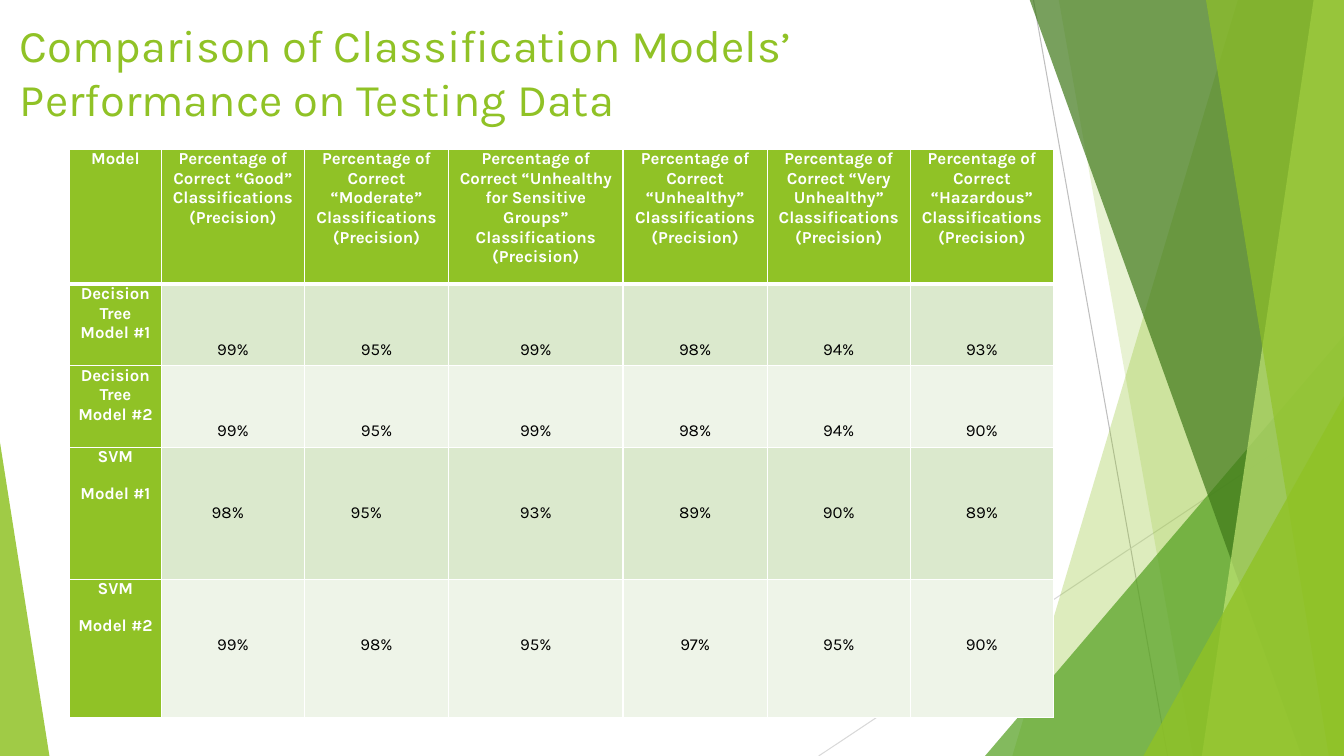
from lxml.etree import SubElement
from pptx import Presentation
from pptx.dml.color import RGBColor
from pptx.enum.shapes import MSO_CONNECTOR as Connector, MSO_SHAPE as Shape
from pptx.enum.text import MSO_ANCHOR as Anchor, PP_ALIGN as Align
from pptx.oxml.ns import qn
from pptx.util import Inches, Pt

WHITE = RGBColor(0xFF, 0xFF, 0xFF)
BLACK = RGBColor(0, 0, 0)
LIME = RGBColor(0x90, 0xC2, 0x26)
PALE_LIME = RGBColor(0xC0, 0xE4, 0x74)
GREEN = RGBColor(0x54, 0xA0, 0x21)
DARK_GREEN = RGBColor(0x3F, 0x78, 0x19)
BAND_DARK = RGBColor(0xDB, 0xE9, 0xCD)
BAND_LIGHT = RGBColor(0xEE, 0xF4, 0xE8)
GREY = RGBColor(0xBF, 0xBF, 0xBF)
LIGHT_GREY = RGBColor(0xD9, 0xD9, 0xD9)

FONT = "Karla"
WIDTH, HEIGHT, BLEED = 13.33, 7.5, -0.01
TITLE = "Comparison of Classification Models’ Performance on Testing Data"
CLASSES = ["Good", "Moderate", "Unhealthy for Sensitive Groups",
           "Unhealthy", "Very Unhealthy", "Hazardous"]
MODELS = [
    (["Decision Tree Model #1"], [99, 95, 99, 98, 94, 93]),
    (["Decision Tree Model #2"], [99, 95, 99, 98, 94, 90]),
    (["SVM", "Model #1"], [98, 95, 93, 89, 90, 89]),
    (["SVM", "Model #2"], [99, 98, 95, 97, 95, 90]),
]
COLUMN_WIDTHS = [0.91, 1.42, 1.43, 1.73, 1.43, 1.42, 1.42]
ROW_HEIGHTS = [1.34, 0.81, 0.81, 1.31, 1.37]
VALUE_TOP = 0.55
RIGHT_INSETS = {(3, 1): 0.14, (3, 2): 0.24}


def apply_format(target, values):
    for name, value in values.items():
        setattr(target, name, value)


def paint(shape, color, opacity):
    shape.shadow.inherit = False
    shape.line.fill.background()
    shape.fill.solid()
    shape.fill.fore_color.rgb = color
    tone = shape.fill._xPr.find(qn("a:solidFill"))[0]
    SubElement(tone, qn("a:alpha"), val=str(opacity * 1000))


def add_line(page, start, end, color):
    line = page.shapes.add_connector(
        Connector.STRAIGHT, *[Inches(value) for value in (*start, *end)])
    line.line.color.rgb = color
    line.line.width = Pt(0.75)
    SubElement(line._element.spPr, qn("a:effectLst"))


def add_facet(page, top_x, bottom_x, color, opacity):
    corners = [(WIDTH, BLEED), (WIDTH, HEIGHT), (bottom_x, HEIGHT)]
    builder = page.shapes.build_freeform(Inches(top_x), Inches(BLEED))
    builder.add_line_segments([(Inches(x), Inches(y)) for x, y in corners])
    paint(builder.convert_to_shape(), color, opacity)


def add_triangle(page, left, top, width, apex, color, opacity):
    triangle = page.shapes.add_shape(
        Shape.ISOSCELES_TRIANGLE, Inches(left), Inches(top),
        Inches(width), Inches(HEIGHT - top))
    triangle.adjustments[0] = apex
    paint(triangle, color, opacity)


def write(frame, lines, size, color, bold=False, align=Align.LEFT, gap=0):
    frame.word_wrap = True
    for index, text in enumerate(lines):
        para = frame.add_paragraph() if index else frame.paragraphs[0]
        apply_format(para, {"alignment": align, "space_before": Pt(gap)})
        span = para.add_run()
        span.text = text
        apply_format(span.font, {"name": FONT, "size": Pt(size), "bold": bold})
        span.font.color.rgb = color


def add_title(page):
    box = page.shapes.add_textbox(
        Inches(0.1), Inches(0.12), Inches(10.54), Inches(1.2))
    write(box.text_frame, [TITLE], 32.4, LIME)


def add_borders(cell, bottom):
    properties = cell._tc.get_or_add_tcPr()
    widths = {"a:lnL": 1, "a:lnR": 1, "a:lnT": 1, "a:lnB": bottom}
    for index, (tag, width) in enumerate(widths.items()):
        edge = SubElement(properties, qn(tag), w=str(Pt(width)))
        fill = SubElement(edge, qn("a:solidFill"))
        SubElement(fill, qn("a:srgbClr"), val=str(WHITE))
        properties.insert(index, edge)


def fill_cell(cell, lines, fill, color, bold, top=0, right=0.04, gap=0, bottom=1):
    apply_format(cell, {
        "margin_left": Inches(0.04), "margin_right": Inches(right),
        "margin_top": Inches(top), "margin_bottom": 0,
        "vertical_anchor": Anchor.TOP,
    })
    cell.fill.solid()
    cell.fill.fore_color.rgb = fill
    write(cell.text_frame, lines, 12, color, bold, Align.CENTER, gap)
    add_borders(cell, bottom)


def add_precision_table(page):
    table = page.shapes.add_table(
        len(ROW_HEIGHTS), len(COLUMN_WIDTHS), Inches(0.69), Inches(1.48),
        Inches(sum(COLUMN_WIDTHS)), Inches(sum(ROW_HEIGHTS))).table
    for column, width in zip(table.columns, COLUMN_WIDTHS):
        column.width = Inches(width)
    for row, height in zip(table.rows, ROW_HEIGHTS):
        row.height = Inches(height)

    headers = [["Model"]] + [
        [f"Percentage of Correct “{name}” Classifications", "(Precision)"]
        for name in CLASSES]
    for column, lines in enumerate(headers):
        fill_cell(table.cell(0, column), lines, LIME, WHITE, True, bottom=3)

    for row, (label, values) in enumerate(MODELS, 1):
        fill_cell(table.cell(row, 0), label, LIME, WHITE, True, gap=12)
        band = BAND_DARK if row % 2 else BAND_LIGHT
        for column, value in enumerate(values, 1):
            fill_cell(table.cell(row, column), [f"{value}%"], band, BLACK, False,
                      top=VALUE_TOP, right=RIGHT_INSETS.get((row, column), 0.04))


def add_backdrop(page):
    add_line(page, (10.25, 0), (11.58, HEIGHT), GREY)
    add_line(page, (WIDTH, 4.03), (8.12, HEIGHT), LIGHT_GREY)
    add_facet(page, 12.28, 10.04, LIME, 30)
    add_facet(page, 10.5, 11.83, LIME, 20)
    add_triangle(page, 9.77, 3.33, 3.56, 1, GREEN, 72)
    add_facet(page, 10.21, 12.91, DARK_GREEN, 70)
    add_facet(page, 13.03, 11.92, PALE_LIME, 70)
    add_facet(page, 11.96, 13.18, LIME, 65)
    add_triangle(page, 11.34, 3.93, 1.99, 1, LIME, 80)
    add_triangle(page, 0, 4.39, 0.49, 0, LIME, 85)


def main():
    deck = Presentation()
    apply_format(deck, {"slide_width": Inches(WIDTH), "slide_height": Inches(HEIGHT)})
    page = deck.slides.add_slide(deck.slide_layouts[6])
    add_backdrop(page)
    add_title(page)
    add_precision_table(page)
    deck.save("out.pptx")


if __name__ == "__main__":
    main()
